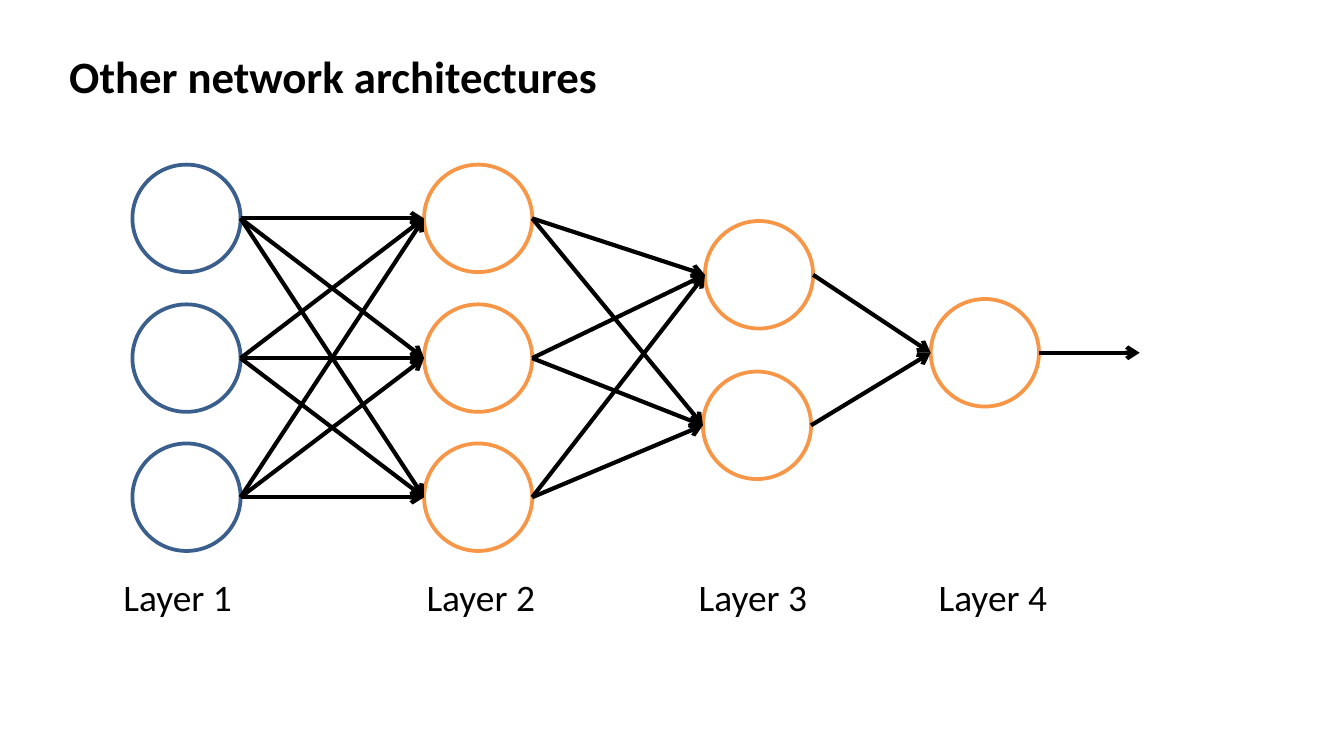
from itertools import pairwise, product

from pptx import Presentation
from pptx.dml.color import RGBColor
from pptx.enum.shapes import MSO_CONNECTOR, MSO_SHAPE
from pptx.enum.text import MSO_ANCHOR, MSO_AUTO_SIZE, PP_ALIGN
from pptx.oxml.ns import qn
from pptx.util import Emu, Pt
from lxml import etree

OVAL = MSO_SHAPE.OVAL
STRAIGHT = MSO_CONNECTOR.STRAIGHT
TOP = MSO_ANCHOR.TOP
LEFT = PP_ALIGN.LEFT
GROW = MSO_AUTO_SIZE.SHAPE_TO_FIT_TEXT

BLACK = RGBColor(0x00, 0x00, 0x00)
WHITE = RGBColor(0xFF, 0xFF, 0xFF)
BLUE = RGBColor(0x3A, 0x5F, 0x8C)
ORANGE = RGBColor(0xF7, 0x96, 0x46)

EMU_PER_PX = 4572
TITLE_ONLY = 5
NODE_WIDTH, NODE_HEIGHT = 161, 160
LABEL_TOP, LABEL_WIDTH, LABEL_HEIGHT = 845, 204, 88
OUTPUT_END = 1696

TITLE_FONT = {"name": "Calibri", "size": Pt(24), "bold": True}
LABEL_FONT = {"name": "Calibri", "size": Pt(20)}

LAYERS = [
    ("Layer 1", 164, BLUE, [(197, 245), (197, 453), (197, 660)]),
    ("Layer 2", 615, ORANGE, [(631, 245), (631, 453), (631, 660)]),
    ("Layer 3", 1020, ORANGE, [(1049, 329), (1046, 553)]),
    ("Layer 4", 1377, ORANGE, [(1385, 445)]),
]


def px(*lengths):
    return [Emu(length * EMU_PER_PX) for length in lengths]


def write_text(shape, text, font_format, wrap):
    frame = shape.text_frame
    frame.word_wrap = wrap
    frame.auto_size = GROW
    frame.vertical_anchor = TOP
    paragraph = frame.paragraphs[0]
    paragraph.text = text
    paragraph.alignment = LEFT
    for name, value in font_format.items():
        setattr(paragraph.font, name, value)
    paragraph.font.color.rgb = BLACK


def set_title(slide, text):
    title = slide.shapes.title
    title.left, title.top, title.width, title.height = px(83, 62, 1400, 100)
    write_text(title, text, TITLE_FONT, True)


def add_label(slide, text, left):
    box = slide.shapes.add_textbox(*px(left, LABEL_TOP, LABEL_WIDTH, LABEL_HEIGHT))
    write_text(box, text, LABEL_FONT, False)


def add_node(slide, left, top, color):
    node = slide.shapes.add_shape(OVAL, *px(left, top, NODE_WIDTH, NODE_HEIGHT))
    node.shadow.inherit = False
    node.fill.solid()
    node.fill.fore_color.rgb = WHITE
    node.line.color.rgb = color
    node.line.width = Pt(2)


def add_arrow(slide, start, end):
    arrow = slide.shapes.add_connector(STRAIGHT, *px(*start, *end))
    arrow.line.color.rgb = BLACK
    arrow.line.width = Pt(2.25)
    etree.SubElement(arrow.line._get_or_add_ln(), qn("a:tailEnd"), type="arrow")
    etree.SubElement(arrow._element.spPr, qn("a:effectLst"))


def node_input(node):
    left, top = node
    return left, top + NODE_HEIGHT // 2


def node_output(node):
    left, top = node
    return left + NODE_WIDTH, top + NODE_HEIGHT // 2


def main():
    presentation = Presentation()
    presentation.slide_width, presentation.slide_height = px(2000, 1125)
    slide = presentation.slides.add_slide(presentation.slide_layouts[TITLE_ONLY])
    set_title(slide, "Other network architectures")

    for label, label_left, color, nodes in LAYERS:
        add_label(slide, label, label_left)
        for left, top in nodes:
            add_node(slide, left, top, color)

    columns = [nodes for *_, nodes in LAYERS]
    for sources, targets in pairwise(columns):
        for source, target in product(sources, targets):
            add_arrow(slide, node_output(source), node_input(target))

    output = node_output(columns[-1][0])
    add_arrow(slide, output, (OUTPUT_END, output[1]))
    presentation.save("out.pptx")


if __name__ == "__main__":
    main()
